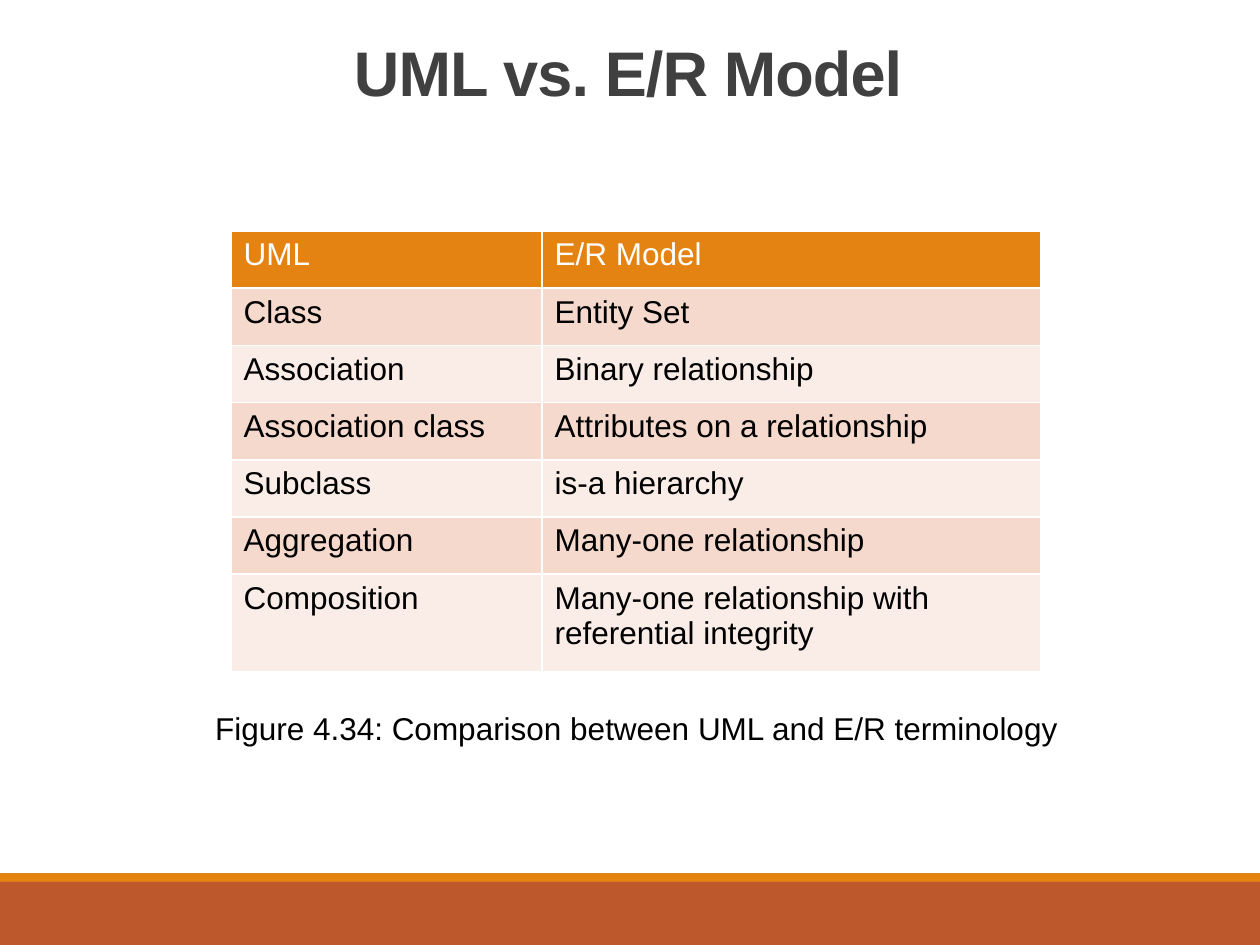
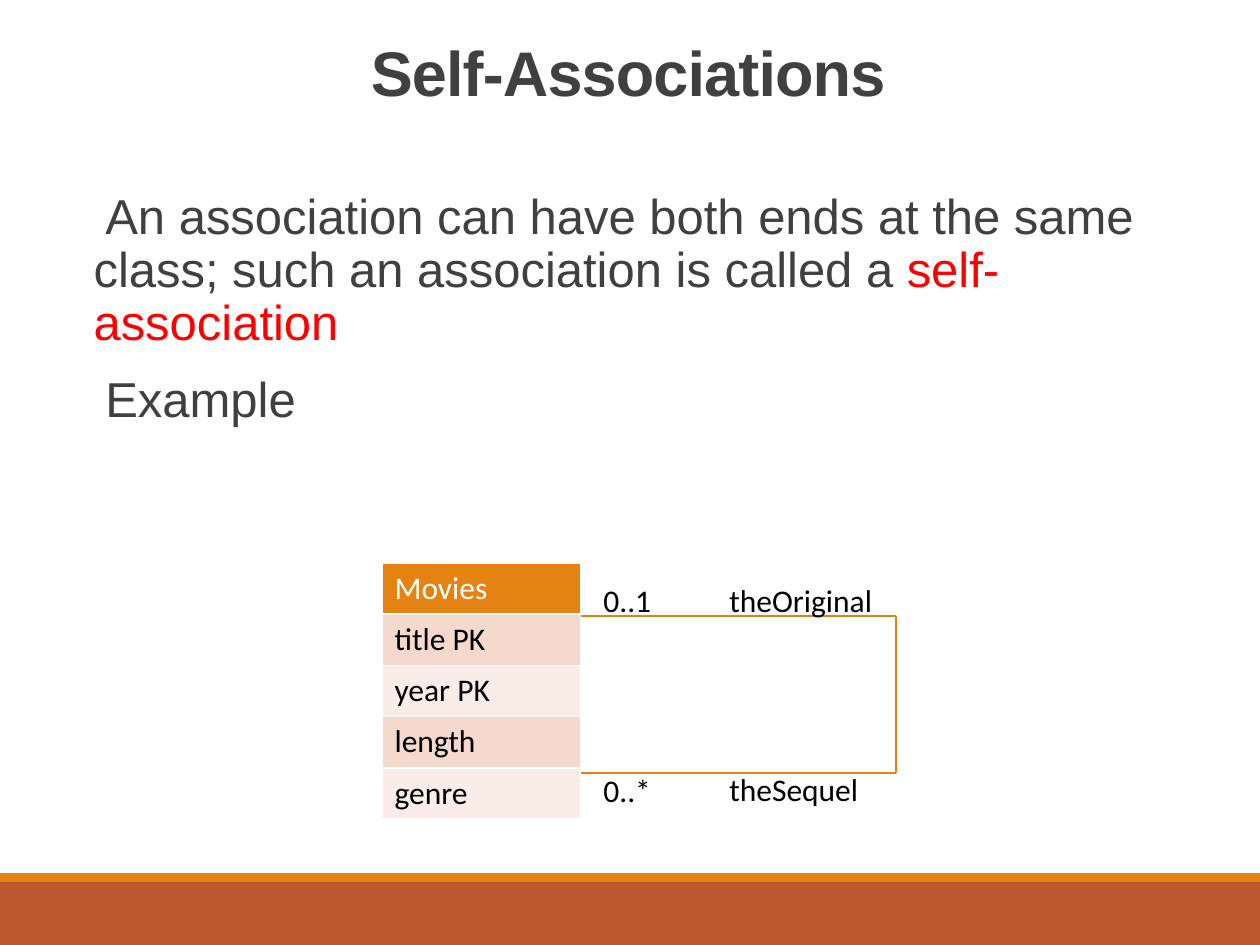
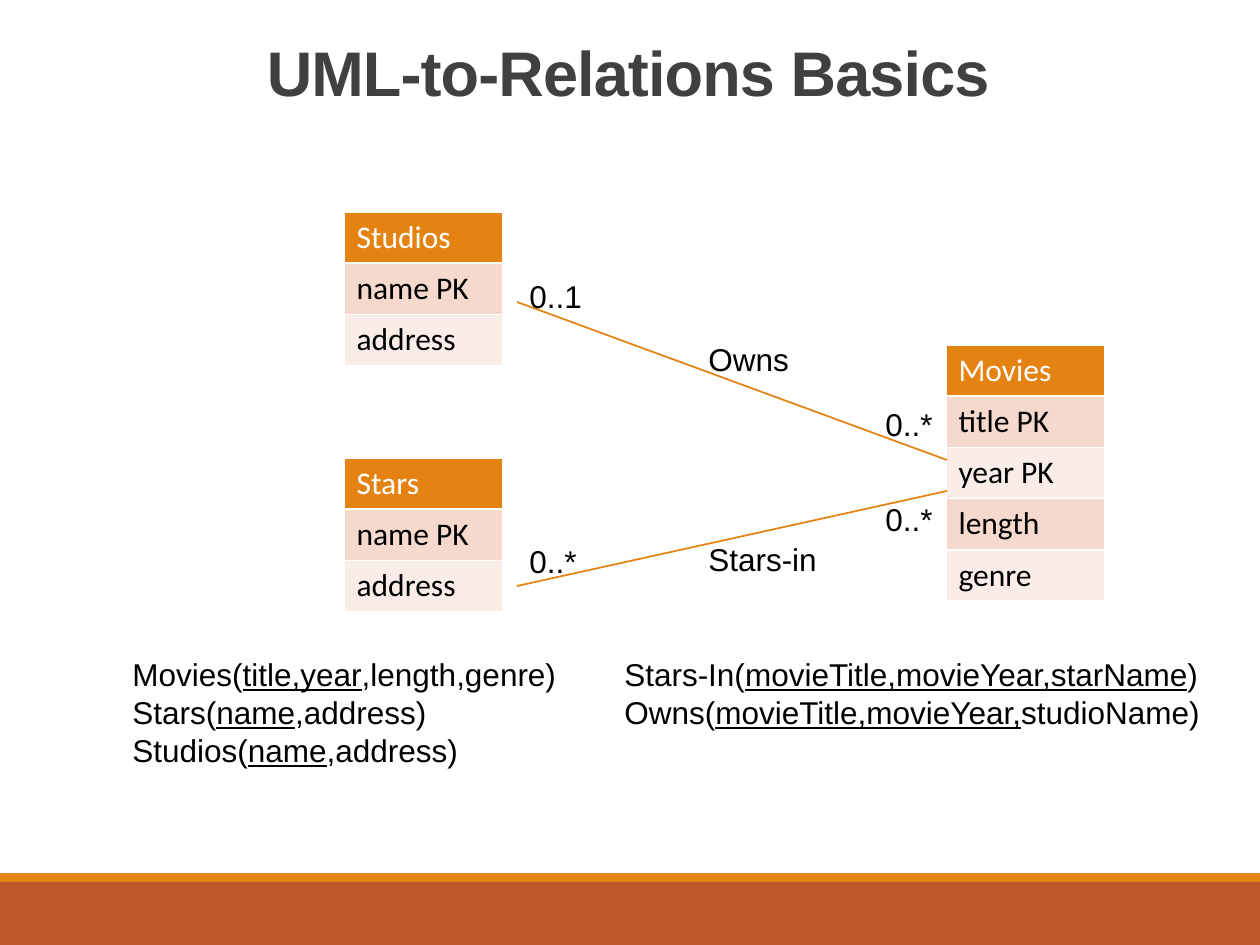
import itertools

import pptx
import pptx.dml.color
import pptx.enum.shapes
import pptx.enum.text
import pptx.oxml
import pptx.oxml.ns
import pptx.util

SCALE = 914400 / 126  # EMU in one px
ORANGE, RUST = "E48312", "BD582C"
BLACK, WHITE, GREY, RED = "000000", "FFFFFF", "404040", "FF0000"
STRIPES = "F5D9CC", "FAEDE7"
TOP = pptx.enum.text.MSO_ANCHOR.TOP
CENTER = pptx.enum.text.PP_ALIGN.CENTER
FIT = pptx.enum.text.MSO_AUTO_SIZE
POINT = pptx.util.Pt


def px(*sizes):
    return [pptx.util.Emu(round(size * SCALE)) for size in sizes]


def tint(code):
    return pptx.dml.color.RGBColor.from_string(code)


def apply(target, values):
    for name, value in values.items():
        setattr(target, name, value)


def add_xml(parent, tag, **values):
    node = pptx.oxml.parse_xml(f"<a:{tag} {pptx.oxml.ns.nsdecls('a')}/>")
    for name, value in values.items():
        node.set(name, value)
    parent.append(node)
    return node


class Deck:
    """Shared style, and the slide being filled."""

    head = {"name": "Arial", "size": POINT(36), "bold": True}
    body = {"name": "Arial", "size": POINT(28)}
    arial = {"name": "Arial", "size": POINT(18), "bold": False}
    plain = {"name": "Calibri", "size": POINT(18), "bold": False}

    def __init__(self):
        self.file = pptx.Presentation()
        self.file.slide_width, self.file.slide_height = px(1260, 945)
        self.layout = self.file.slide_layouts[5]
        self.slide = None

    def start(self, title):
        first = self.slide is None
        self.slide = self.file.slides.add_slide(self.layout)
        if first:
            self.band(882, 63, RUST)
            self.band(873, 9, ORANGE)
        shape = self.slide.shapes.title
        apply(shape, dict(zip(("left", "top", "width", "height"), px(81, 39, 1094, 146))))
        apply(shape.text_frame, {"vertical_anchor": TOP, "auto_size": FIT.NONE})
        self.put(shape.text_frame, [[title]], self.head, GREY,
                 form={"alignment": CENTER, "line_spacing": 0.85})
        run = shape.text_frame.paragraphs[0].runs[0]
        run.font._element.set("spc", "-50")

    def band(self, top, height, color):
        """Put a full-width band on the layout, for every slide."""
        kind = pptx.enum.shapes.MSO_SHAPE.RECTANGLE
        shape = self.slide.shapes.add_shape(kind, *px(0, top, 1260, height))
        shape.shadow.inherit = False
        shape.fill.solid()
        shape.fill.fore_color.rgb = tint(color)
        shape.line.fill.background()
        self.layout.shapes.element.insert(2, shape.element)

    def put(self, frame, lines, look, color, mark=None, form=None):
        """Each line is a list of runs; every second run is marked."""
        for place, line in enumerate(lines):
            para = frame.add_paragraph() if place else frame.paragraphs[0]
            apply(para, form or {})
            for order, words in enumerate(line):
                run = para.add_run()
                run.text = words
                apply(run.font, look)
                run.font.color.rgb = tint(color)
                if order % 2:
                    mark(run.font)

    def text(self, left, top, width, height, lines, look, form=None, mark=None):
        box = self.slide.shapes.add_textbox(*px(left, top, width, height))
        apply(box.text_frame, {"word_wrap": False, "auto_size": FIT.SHAPE_TO_FIT_TEXT})
        self.put(box.text_frame, lines, look, BLACK, mark, form)

    def points(self, left, top, width, height, lines, mark):
        """Body text with a blank hanging bullet."""
        box = self.slide.shapes.add_textbox(*px(left, top, width, height))
        frame = box.text_frame
        apply(frame, {"word_wrap": True, "margin_left": 0, "margin_right": 0})
        self.put(frame, lines, self.body, GREY, mark,
                 {"line_spacing": 0.9, "space_after": POINT(2)})
        hang = px(12.6)[0]
        for place, para in enumerate(frame.paragraphs):
            if place:
                para.space_before = POINT(12)
            props = para._p.get_or_add_pPr()
            props.set("marL", str(hang))
            props.set("indent", str(-hang))
            add_xml(add_xml(props, "buClr"), "srgbClr", val=ORANGE)
            add_xml(props, "buChar", char=" ")

    def table(self, left, top, widths, heights, rows, look):
        size = px(left, top, sum(widths), sum(heights))
        grid = self.slide.shapes.add_table(len(rows), len(widths), *size).table
        for column, width in zip(grid.columns, px(*widths)):
            column.width = width
        for row, height in zip(grid.rows, px(*heights)):
            row.height = height
        for r, row in enumerate(rows):
            for c, words in enumerate(row):
                cell = grid.cell(r, c)
                cell.fill.solid()
                cell.fill.fore_color.rgb = tint(STRIPES[(r - 1) % 2] if r else ORANGE)
                lines = [[part] for part in words.split("\n")]
                self.put(cell.text_frame, lines, look, BLACK if r else WHITE)

    def entity(self, left, top, width, names):
        """A class box: its name over its fields."""
        self.table(left, top, [width], [51.2] * len(names),
                   [[name] for name in names], self.plain)

    def line(self, start, end):
        kind = pptx.enum.shapes.MSO_CONNECTOR.STRAIGHT
        link = self.slide.shapes.add_connector(kind, *px(*start, *end))
        link.line.color.rgb = tint(ORANGE)
        link.line.width = POINT(1)
        add_xml(link._element.spPr, "effectLst")


def redden(font):
    font.color.rgb = tint(RED)


def score(font):
    font.underline = True


MOVIES = ["Movies", "title PK", "year PK", "length", "genre"]


def compare(deck):
    deck.start("UML vs. E/R Model")
    deck.table(231, 231, [311, 499], [57.2] * 6 + [98], [
        ["UML", "E/R Model"],
        ["Class", "Entity Set"],
        ["Association", "Binary relationship"],
        ["Association class", "Attributes on a relationship"],
        ["Subclass", "is-a hierarchy"],
        ["Aggregation", "Many-one relationship"],
        ["Composition", "Many-one relationship with\nreferential integrity"],
    ], deck.arial)
    caption = "Figure 4.34: Comparison between UML and E/R terminology"
    deck.text(189, 703, 895, 50, [[caption]], deck.arial, {"alignment": CENTER})


def loop(deck):
    deck.start("Self-Associations")
    deck.points(81, 186, 1094, 651, [
        ["An association can have both ends at the same class; "
         "such an association is called a ", "self-association"],
        ["Example"],
    ], redden)
    deck.entity(382, 563, 199, MOVIES)
    # The link leaves the class and comes back to it
    track = [(581, 616), (896, 616), (896, 773), (581, 773)]
    for start, end in itertools.pairwise(track):
        deck.line(start, end)
    for left, top, width, words in [
        (591, 575, 76, "0..1"), (591, 765, 77, "0..*"),
        (717, 575, 185, "theOriginal"), (717, 764, 165, "theSequel"),
    ]:
        deck.text(left, top, width, 50, [[words]], deck.plain)


def relate(deck):
    deck.start("UML-to-Relations Basics")
    # Classes
    for left, top, names in [
        (344, 212, ["Studios", "name PK", "address"]),
        (344, 458, ["Stars", "name PK", "address"]),
        (946, 345, MOVIES),
    ]:
        deck.entity(left, top, 159, names)
    # Links and their labels
    deck.line((517, 302), (947, 460))
    deck.line((517, 586), (947, 491))
    for left, top, width, words in [
        (696, 334, 107, "Owns"), (517, 271, 78, "0..1"), (873, 399, 73, "0..*"),
        (517, 536, 73, "0..*"), (873, 494, 73, "0..*"), (696, 534, 137, "Stars-in"),
    ]:
        deck.text(left, top, width, 50, [[words]], deck.arial)
    # Relations, with keys underlined
    deck.text(120, 649, 460, 127, [
        ["Movies(", "title,year", ",length,genre)"],
        ["Stars(", "name", ",address)"],
        ["Studios(", "name", ",address)"],
    ], deck.arial, mark=score)
    deck.text(612, 649, 620, 89, [
        ["Stars-In(", "movieTitle,movieYear,starName", ")"],
        ["Owns(", "movieTitle,movieYear,", "studioName)"],
    ], deck.arial, mark=score)


def main():
    deck = Deck()
    for build in (compare, loop, relate):
        build(deck)
    deck.file.save("out.pptx")


if __name__ == "__main__":
    main()
